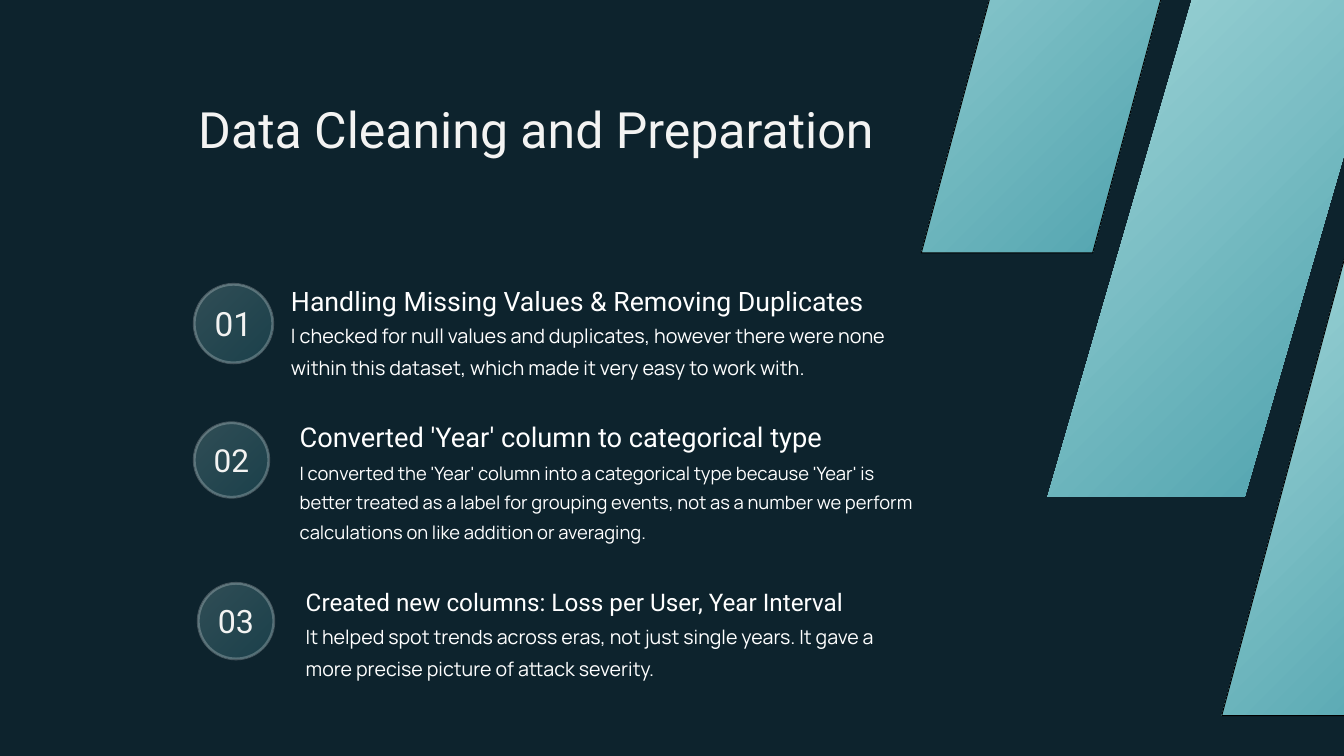
from lxml import etree
from pptx import Presentation
from pptx.dml.color import RGBColor
from pptx.enum.shapes import MSO_SHAPE
from pptx.enum.text import MSO_ANCHOR, MSO_AUTO_SIZE, PP_ALIGN
from pptx.oxml.ns import qn
from pptx.util import Pt

OVAL = MSO_SHAPE.OVAL
PARALLELOGRAM = MSO_SHAPE.PARALLELOGRAM
LEFT, CENTER = PP_ALIGN.LEFT, PP_ALIGN.CENTER
TOP, MIDDLE = MSO_ANCHOR.TOP, MSO_ANCHOR.MIDDLE

COLORS = {
    "background": "0D232D",
    "light teal": "A3D7D8",
    "dark teal": "489EAB",
    "off-white": "F3F3F2",
    "white": "FFFFFF",
    "black": "000000",
}
HEADING_FONT, BODY_FONT = "Roboto", "Manrope"
BADGE_OPACITY = 24

# left, top, width, height, skew, outlined
BARS = [
    (1122.5, -22.3, 372.2, 554.4, 161, False),
    (987.1, -240.5, 321.1, 511.5, 137.5, True),
    (1309, 254.9, 321.1, 511.9, 137.5, True),
]

# Each box is left, top, width, height; each style is size, line spacing.
STEPS = [
    {
        "badge": (208.1, 304.6, 84.2), "number": ("01", 35.8, 41.5),
        "heading": "Handling Missing Values & Removing Duplicates",
        "heading box": (311.8, 299.5, 704, 39.6), "heading style": (28.6, 40.1),
        "body": "I checked for null values and duplicates, however there were none "
                "within this dataset, which made it very easy to work with.",
        "body box": (311.8, 338.4, 669.6, 66.2), "body style": (21.2, 34.2),
    },
    {
        "badge": (208.1, 452.9, 79.9), "number": ("02", 33.9, 39.4),
        "heading": "Converted 'Year' column to categorical type",
        "heading box": (321.1, 444.2, 695, 38.9), "heading style": (29.2, 40.8),
        "body": "I converted the 'Year' column into a categorical type because 'Year' is "
                "better treated as a label for grouping events, not as a number we "
                "perform calculations on like addition or averaging.",
        "body box": (321.1, 486.7, 666.7, 92.2), "body style": (19.7, 31.7),
    },
    {
        "badge": (212.4, 625, 81), "number": ("03", 34.5, 40),
        "heading": "Created new columns: Loss per User, Year Interval",
        "heading box": (327.6, 623.5, 664, 39.6), "heading style": (26, 36.4),
        "body": "It helped spot trends across eras, not just single years. It gave a "
                "more precise picture of attack severity.",
        "body box": (327.6, 661, 612, 67.6), "body style": (21, 33.8),
    },
]


def color(name):
    return RGBColor.from_string(COLORS[name])


def set_opacity(fill_element, percent):
    for rgb in fill_element.iter(qn("a:srgbClr")):
        etree.SubElement(rgb, qn("a:alpha")).set("val", str(percent * 1000))


def set_text(shape, text, font, size, spacing, color_name, align=LEFT, anchor=TOP):
    frame = shape.text_frame
    frame.text = text
    frame.word_wrap = True
    frame.auto_size = MSO_AUTO_SIZE.NONE
    frame.vertical_anchor = anchor
    frame.margin_left = frame.margin_top = frame.margin_right = frame.margin_bottom = 0
    paragraph = frame.paragraphs[0]
    paragraph.alignment = align
    paragraph.line_spacing = Pt(spacing)
    run_font = paragraph.runs[0].font
    run_font.name = font
    run_font.size = Pt(size)
    run_font.color.rgb = color(color_name)


def add_text(slide, box, text, font, style):
    shape = slide.shapes.add_textbox(*map(Pt, box))
    set_text(shape, text, font, *style, "white")


def add_gradient_shape(slide, kind, box):
    """Add a shape that runs from light teal, top left, to dark teal."""
    shape = slide.shapes.add_shape(kind, *map(Pt, box))
    shape.shadow.inherit = False
    shape.fill.gradient()
    shape.fill.gradient_angle = 315
    for stop, name in zip(shape.fill.gradient_stops, ("light teal", "dark teal")):
        stop.color.rgb = color(name)
    return shape


def add_bar(slide, left, top, width, height, skew, outlined):
    bar = add_gradient_shape(slide, PARALLELOGRAM, (left, top, width, height))
    bar.adjustments[0] = skew / min(width, height)
    if outlined:
        bar.line.color.rgb = color("black")
        bar.line.width = Pt(1)
    else:
        bar.line.fill.background()


def add_badge(slide, left, top, diameter, number, size, spacing):
    badge = add_gradient_shape(slide, OVAL, (left, top, diameter, diameter))
    badge.line.color.rgb = color("white")
    badge.line.width = Pt(3)
    set_opacity(badge.element.spPr, BADGE_OPACITY)
    set_text(badge, number, HEADING_FONT, size, spacing, "off-white", CENTER, MIDDLE)


def add_step(slide, step):
    add_badge(slide, *step["badge"], *step["number"])
    add_text(slide, step["body box"], step["body"], BODY_FONT, step["body style"])
    add_text(slide, step["heading box"], step["heading"], HEADING_FONT, step["heading style"])


def set_title(slide, text):
    title = slide.shapes.title
    title.left, title.top, title.width, title.height = map(Pt, (212.4, 108, 882, 63.4))
    set_text(title, text, HEADING_FONT, 53.6, 62.1, "off-white")


def main():
    presentation = Presentation()
    presentation.slide_width, presentation.slide_height = Pt(1440), Pt(810)
    slide = presentation.slides.add_slide(presentation.slide_layouts[5])
    slide.background.fill.solid()
    slide.background.fill.fore_color.rgb = color("background")

    for bar in BARS:
        add_bar(slide, *bar)
    set_title(slide, "Data Cleaning and Preparation")
    for step in STEPS:
        add_step(slide, step)

    presentation.save("out.pptx")


if __name__ == "__main__":
    main()
